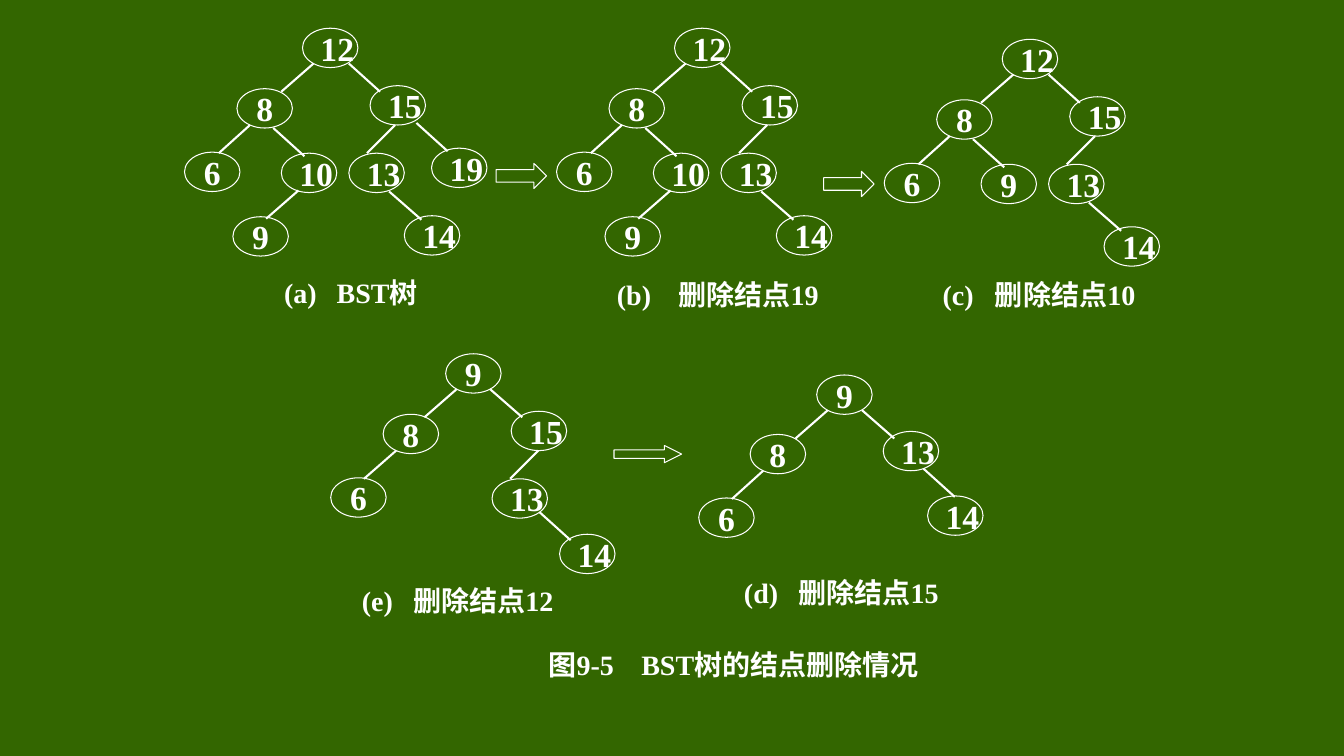
from dataclasses import dataclass, field

from lxml import etree
from pptx import Presentation
from pptx.dml.color import RGBColor
from pptx.enum.shapes import MSO_CONNECTOR, MSO_SHAPE
from pptx.enum.text import MSO_ANCHOR, MSO_AUTO_SIZE, PP_ALIGN
from pptx.oxml.ns import qn
from pptx.shapes.autoshape import Shape
from pptx.slide import Slide
from pptx.text.text import TextFrame
from pptx.util import Inches, Pt

ELLIPSE, RIGHT_ARROW = MSO_SHAPE.OVAL, MSO_SHAPE.RIGHT_ARROW
STRAIGHT = MSO_CONNECTOR.STRAIGHT
LEFT, CENTER = PP_ALIGN.LEFT, PP_ALIGN.CENTER
MIDDLE, NO_AUTOFIT = MSO_ANCHOR.MIDDLE, MSO_AUTO_SIZE.NONE

COLORS = {"background": "336600", "chalk": "FFFFFF"}
FONT = "Times New Roman"
NODE_SIZE, CAPTION_SIZE = 24, 20

# The slide is a grid of 1333 columns by 750 rows; all lengths count its cells.
COLUMNS, ROWS = 1333, 750
CELL = Inches(0.01)
NODE_WIDTH, NODE_HEIGHT = 55, 39
EDGE_DROP = 28
CAPTION_HEIGHT = 39


@dataclass(frozen=True)
class Slot:
    """Node place measured from the root; edge start measured from the parent."""
    x: int
    y: int
    edge_x: int = 0
    edge_y: int = 0
    edge_run: int = 0


@dataclass(frozen=True)
class Caption:
    label: str
    text: str
    left: int
    top: int
    width: int
    tab: int


@dataclass(frozen=True)
class Tree:
    """Values are keyed by the path of left and right turns from the root."""
    left: int
    top: int
    values: dict[str, int]
    caption: Caption
    moved: dict[str, Slot] = field(default_factory=dict)


@dataclass(frozen=True)
class Arrow:
    left: int
    top: int
    width: int
    height: int
    head: float


SLOTS = {
    "": Slot(0, 0),
    "L": Slot(-65, 60, 11, 35, -32),
    "R": Slot(67, 57, 46, 35, 31),
    "LL": Slot(-117, 123, 13, 36, -31),
    "LR": Slot(-21, 124, 36, 39, 31),
    "RL": Slot(46, 124, 25, 39, -28),
    "RR": Slot(128, 119, 46, 37, 31),
    "LRL": Slot(-69, 187, 17, 37, -32),
    "RLR": Slot(101, 186, 40, 38, 32),
}

FULL_TREE = {"": 12, "L": 8, "LL": 6, "LR": 10, "LRL": 9,
             "R": 15, "RR": 19, "RL": 13, "RLR": 14}
WITHOUT_19 = {turns: value for turns, value in FULL_TREE.items() if value != 19}
WITHOUT_10 = {"": 12, "L": 8, "LL": 6, "LR": 9, "R": 15, "RL": 13, "RLR": 14}
WITHOUT_12 = {"": 9, "L": 8, "LL": 6, "R": 15, "RL": 13, "RLR": 14}
WITHOUT_15 = {"": 9, "L": 8, "LL": 6, "R": 13, "RR": 14}

TREES = [
    Tree(300, 28, FULL_TREE, Caption("(a)", "BST树", 272, 270, 153, 52)),
    Tree(669, 28, WITHOUT_19, Caption("(b)", "删除结点19", 602, 272, 205, 61)),
    Tree(994, 39, WITHOUT_10, Caption("(c)", "删除结点10", 925, 272, 208, 52)),
    Tree(442, 351, WITHOUT_12, Caption("(e)", "删除结点12", 349, 576, 208, 51),
         {"L": Slot(-62, 60, 11, 35, -32), "LL": Slot(-114, 123, 13, 36, -32),
          "R": Slot(65, 57, 44, 35, 32), "RL": Slot(46, 124, 27, 39, -28),
          "RLR": Slot(113, 179, 47, 33, 31)}),
    Tree(810, 372, WITHOUT_15, Caption("(d)", "删除结点15", 728, 568, 208, 54),
         {"L": Slot(-66, 59, 11, 35, -32), "LL": Slot(-117, 122, 13, 36, -31),
          "R": Slot(66, 56, 45, 35, 32), "RR": Slot(110, 120, 40, 37, 31)}),
]
FIGURE_TITLE = Caption("图9-5", "BST树的结点删除情况", 534, 639, 410, 92)
ARROWS = [Arrow(492, 162, 50, 25, 0.5), Arrow(817, 170, 50, 25, 0.5),
          Arrow(609, 442, 67, 17, 1)]


def color(name: str) -> RGBColor:
    return RGBColor.from_string(COLORS[name])


def write(frame: TextFrame, text: str, size: int, alignment: PP_ALIGN) -> None:
    frame.word_wrap = False
    frame.auto_size = NO_AUTOFIT
    frame.vertical_anchor = MIDDLE
    paragraph = frame.paragraphs[0]
    paragraph.text = text
    paragraph.alignment = alignment
    paragraph.font.name = FONT
    paragraph.font.size = Pt(size)
    paragraph.font.bold = True
    paragraph.font.color.rgb = color("chalk")


def write_caption(shape: Shape, caption: Caption) -> None:
    """Place the shape and set its text off from the label by a tab stop."""
    shape.left, shape.top = caption.left * CELL, caption.top * CELL
    shape.width, shape.height = caption.width * CELL, CAPTION_HEIGHT * CELL
    write(shape.text_frame, f"{caption.label}\t{caption.text}", CAPTION_SIZE, LEFT)
    tab_list = etree.Element(qn("a:tabLst"))
    etree.SubElement(tab_list, qn("a:tab"), pos=str(caption.tab * CELL), algn="l")
    shape.text_frame.paragraphs[0]._p.get_or_add_pPr().insert(0, tab_list)


def draw_outline(slide: Slide, preset: MSO_SHAPE, left: int, top: int,
                 width: int, height: int) -> Shape:
    shape = slide.shapes.add_shape(
        preset, left * CELL, top * CELL, width * CELL, height * CELL)
    shape.shadow.inherit = False
    shape.fill.background()
    shape.line.color.rgb = color("chalk")
    shape.line.width = Pt(0.75)
    return shape


def draw_edge(slide: Slide, left: int, top: int, run: int) -> None:
    edge = slide.shapes.add_connector(
        STRAIGHT, left * CELL, top * CELL,
        (left + run) * CELL, (top + EDGE_DROP) * CELL)
    edge.line.color.rgb = color("chalk")
    edge.line.width = Pt(1.5)
    etree.SubElement(edge._element.spPr, qn("a:effectLst"))


def draw_tree(slide: Slide, tree: Tree) -> None:
    slots = {**SLOTS, **tree.moved}
    for turns, value in tree.values.items():
        slot = slots[turns]
        node = draw_outline(slide, ELLIPSE, tree.left + slot.x, tree.top + slot.y,
                            NODE_WIDTH, NODE_HEIGHT)
        write(node.text_frame, str(value), NODE_SIZE, CENTER if value < 10 else LEFT)
        if turns:
            parent = slots[turns[:-1]]
            draw_edge(slide, tree.left + parent.x + slot.edge_x,
                      tree.top + parent.y + slot.edge_y, slot.edge_run)
    write_caption(slide.shapes.add_textbox(0, 0, 0, 0), tree.caption)


def draw_arrow(slide: Slide, arrow: Arrow) -> None:
    shape = draw_outline(slide, RIGHT_ARROW, arrow.left, arrow.top,
                         arrow.width, arrow.height)
    shape.adjustments[1] = arrow.head


def main() -> None:
    presentation = Presentation()
    presentation.slide_width = COLUMNS * CELL
    presentation.slide_height = ROWS * CELL
    title_only = presentation.slide_layouts.get_by_name("Title Only")
    slide = presentation.slides.add_slide(title_only)
    slide.background.fill.solid()
    slide.background.fill.fore_color.rgb = color("background")
    write_caption(slide.shapes.title, FIGURE_TITLE)
    for tree in TREES:
        draw_tree(slide, tree)
    for arrow in ARROWS:
        draw_arrow(slide, arrow)
    presentation.save("out.pptx")


if __name__ == "__main__":
    main()
